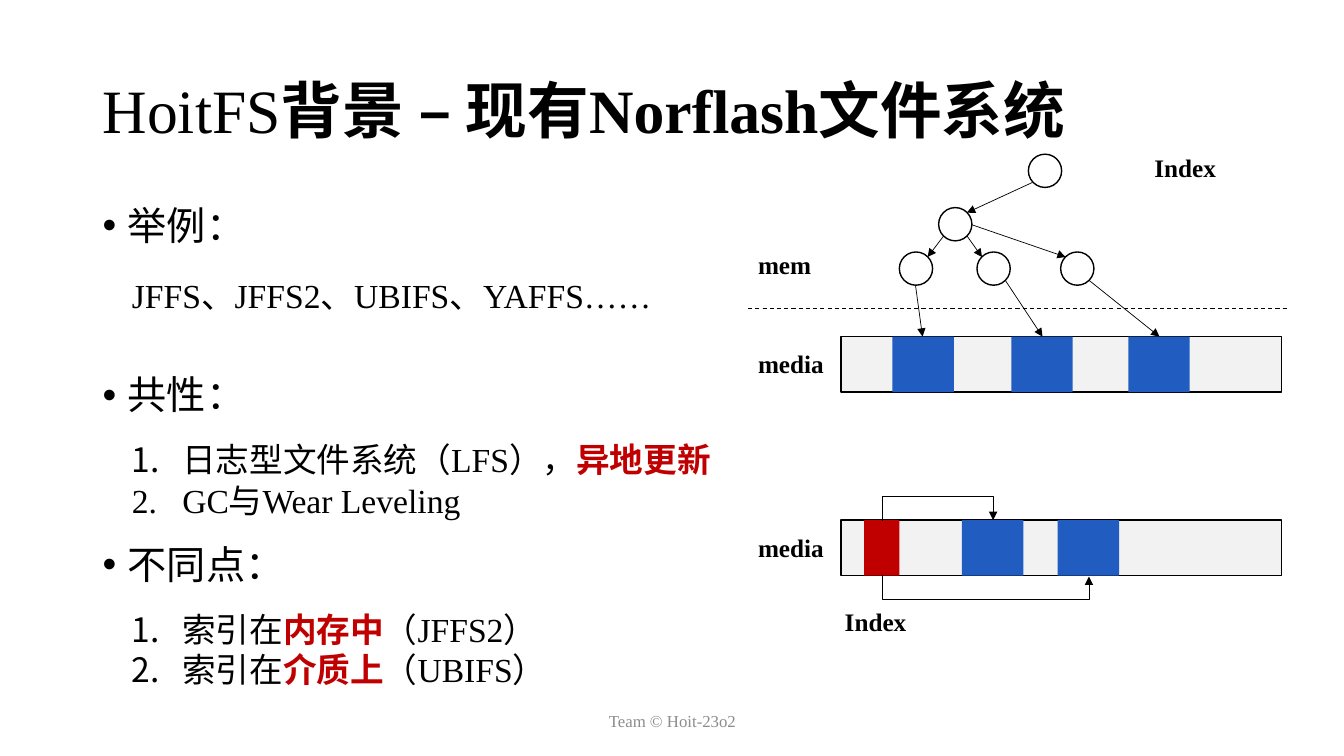
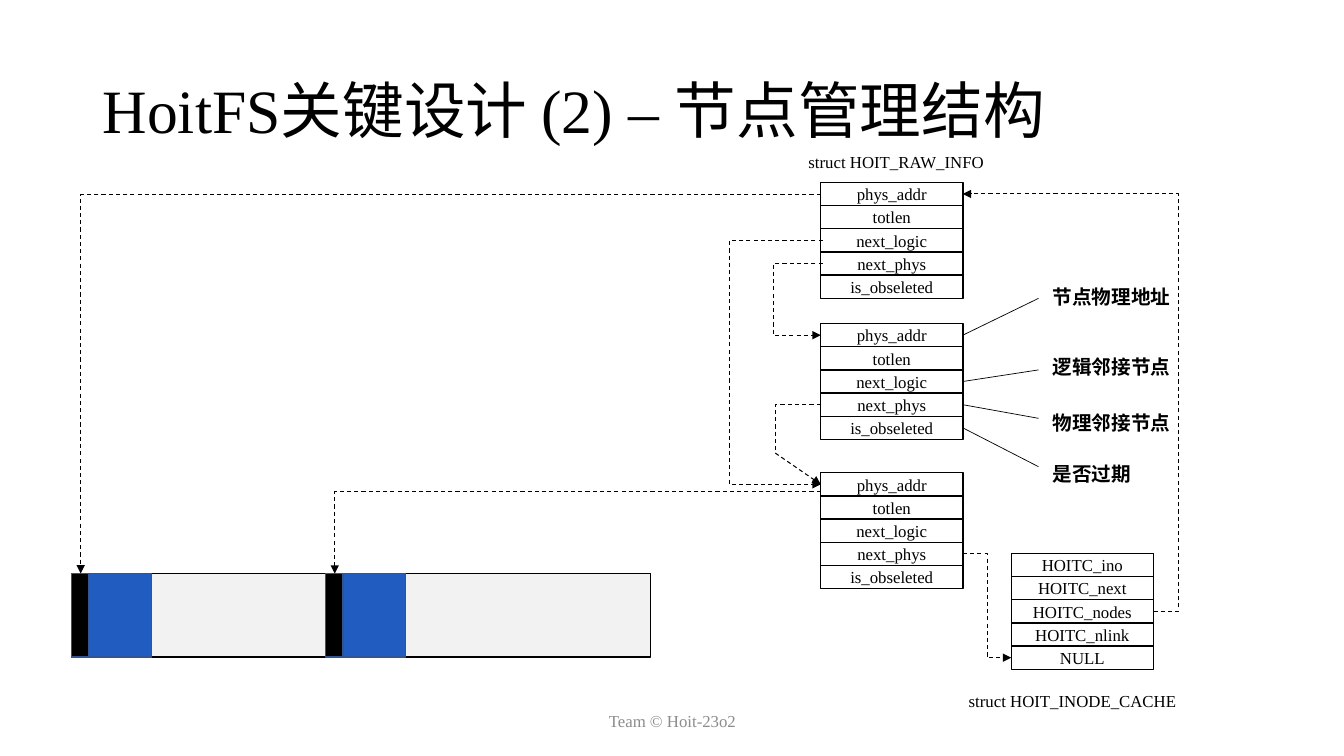
from lxml import etree
from pptx import Presentation
from pptx.dml.color import RGBColor
from pptx.enum.dml import MSO_LINE
from pptx.enum.lang import MSO_LANGUAGE_ID
from pptx.enum.shapes import MSO_CONNECTOR, MSO_SHAPE
from pptx.enum.text import MSO_ANCHOR, PP_ALIGN
from pptx.oxml.ns import qn
from pptx.util import Inches, Pt

FONT = "Times New Roman"
BLACK = RGBColor(0x00, 0x00, 0x00)
WHITE = RGBColor(0xFF, 0xFF, 0xFF)
GRAY = RGBColor(0x8C, 0x8C, 0x8C)
LIGHT_GRAY = RGBColor(0xF2, 0xF2, 0xF2)
BLUE = RGBColor(0x21, 0x5C, 0xC1)
DARK_BLUE = RGBColor(0x32, 0x54, 0x91)
RED = RGBColor(0xC0, 0x00, 0x00)

RECTANGLE, OVAL = MSO_SHAPE.RECTANGLE, MSO_SHAPE.OVAL
STRAIGHT, ELBOW = MSO_CONNECTOR.STRAIGHT, MSO_CONNECTOR.ELBOW
DASH = MSO_LINE.DASH
LEFT, CENTER = PP_ALIGN.LEFT, PP_ALIGN.CENTER
TOP, MIDDLE = MSO_ANCHOR.TOP, MSO_ANCHOR.MIDDLE
CHINESE = MSO_LANGUAGE_ID.SIMPLIFIED_CHINESE

RAW_INFO_FIELDS = ["phys_addr", "totlen", "next_logic", "next_phys", "is_obseleted"]
INODE_CACHE_FIELDS = ["HOITC_ino", "HOITC_next", "HOITC_nodes", "HOITC_nlink", "NULL"]
CELL_WIDTH, CELL_HEIGHT = 1.41, 0.23


def write_paragraph(paragraph, runs, size, color=BLACK, bold=False, align=LEFT):
    """Write runs; each is a string or a (text, font overrides) pair."""
    paragraph.alignment = align
    font = paragraph.font
    font.name, font.size, font.bold = FONT, Pt(size), bold
    font.color.rgb = color
    for item in [runs] if isinstance(runs, str) else runs:
        text, changes = (item, {}) if isinstance(item, str) else item
        run = paragraph.add_run()
        run.text = text
        run.font.language_id = CHINESE
        if "bold" in changes:
            run.font.bold = changes["bold"]
        if "color" in changes:
            run.font.color.rgb = changes["color"]


def add_text(slide, box, lines, size, anchor=TOP, **style):
    frame = slide.shapes.add_textbox(*map(Inches, box)).text_frame
    frame.word_wrap = True
    frame.vertical_anchor = anchor
    for index, runs in enumerate(lines):
        paragraph = frame.add_paragraph() if index else frame.paragraphs[0]
        write_paragraph(paragraph, runs, size, **style)
    return frame


def add_label(slide, left, top, text, size=18, bold=True, width=1.0):
    add_text(slide, (left, top, width, 0.4), [text], size, bold=bold)


def add_box(slide, box, fill, line=None, kind=RECTANGLE):
    shape = slide.shapes.add_shape(kind, *map(Inches, box))
    shape.shadow.inherit = False
    shape.fill.solid()
    shape.fill.fore_color.rgb = fill
    if line is None:
        shape.line.fill.background()
    else:
        shape.line.color.rgb = line
        shape.line.width = Pt(1)
    return shape


def set_bullet(paragraph, indent, tag, **attributes):
    properties = paragraph._p.get_or_add_pPr()
    properties.set("marL", str(Inches(indent)))
    properties.set("indent", str(-Inches(indent)))
    bullet = properties.makeelement(qn(tag), attributes)
    defaults = properties.find(qn("a:defRPr"))
    defaults.addprevious(bullet)
    if tag == "a:buChar":
        bullet.addprevious(properties.makeelement(qn("a:buFont"), {"typeface": "Arial"}))


def add_line(slide, start, end, width=0.5, dashed=False, arrow=True, kind=STRAIGHT):
    connector = slide.shapes.add_connector(kind, *map(Inches, (*start, *end)))
    line = connector.line
    line.color.rgb = BLACK
    line.width = Pt(width)
    if dashed:
        line.dash_style = DASH
    if arrow:
        etree.SubElement(line._get_or_add_ln(), qn("a:tailEnd"), type="triangle")
    etree.SubElement(connector._element.spPr, qn("a:effectLst"))
    return connector


def add_elbow(slide, start, end, bend=None, turn=0, **style):
    """Draw an elbow turned clockwise by turn degrees.

    bend is where the middle segment lies: y for quarter turns, otherwise x.
    Without it the connector has a single corner.
    """
    (x1, y1), (x2, y2) = start, end
    dx, dy = x2 - x1, y2 - y1
    across, down = {0: (dx, dy), 90: (dy, -dx), 180: (-dx, -dy), 270: (-dy, dx)}[turn]
    middle_x, middle_y = (x1 + x2) / 2, (y1 + y2) / 2
    connector = add_line(
        slide,
        (middle_x - across / 2, middle_y - down / 2),
        (middle_x + across / 2, middle_y + down / 2),
        kind=ELBOW, **style)
    properties = connector._element.spPr
    if turn:
        properties.find(qn("a:xfrm")).set("rot", str(turn * 60000))
    geometry = properties.find(qn("a:prstGeom"))
    if bend is None:
        geometry.set("prst", "bentConnector2")
    else:
        share = (bend - y1) / dy if turn in (90, 270) else (bend - x1) / dx
        guides = geometry.find(qn("a:avLst"))
        etree.SubElement(guides, qn("a:gd"), name="adj1", fmla=f"val {round(share * 100000)}")


def add_slide(presentation, title):
    slide = presentation.slides.add_slide(presentation.slide_layouts[6])
    frame = add_text(slide, (0.92, 0.4, 11.5, 1.45), [title], 44, anchor=MIDDLE)
    frame.paragraphs[0].line_spacing = 0.9
    add_text(slide, (4.42, 6.95, 4.5, 0.4), ["Team © Hoit-23o2"], 12,
             anchor=MIDDLE, color=GRAY, align=CENTER)
    return slide


def add_section(slide, top, heading, details, gap=0.63, numbered=True):
    frame = add_text(slide, (0.92, top, 6, 0.68), [heading], 28)
    paragraph = frame.paragraphs[0]
    paragraph.line_spacing = 0.9
    paragraph.space_before = Pt(10)
    set_bullet(paragraph, 0.25, "a:buChar", char="•")
    frame = add_text(slide, (1.21, top + gap, 6.66, 0.45 * len(details)), details, 24)
    if numbered:
        for paragraph in frame.paragraphs:
            set_bullet(paragraph, 0.5, "a:buAutoNum", type="arabicPeriod")


def add_media(slide, left, top, blocks):
    """Draw a storage strip with (offset, width, colour) blocks."""
    add_box(slide, (left, top, 4.37, 0.55), LIGHT_GRAY, BLACK)
    for offset, width, color in blocks:
        add_box(slide, (left + offset, top, width, 0.55), color)
    add_label(slide, left - 0.92, top + 0.07, "media")


def add_memory_index(slide, left, top):
    """Draw the index tree in memory above its storage strip."""
    add_media(slide, left + 0.92, top + 1.88,
              [(offset, 0.61, BLUE) for offset in (0.51, 1.69, 2.85)])
    for x, y in [(2.78, 0.07), (1.89, 0.6), (1.5, 1.04), (2.27, 1.04), (3.1, 1.04)]:
        add_box(slide, (left + x, top + y, 0.33, 0.33), WHITE, BLACK, OVAL)
    arrows = [
        (2.82, 0.35, 2.17, 0.65), (1.94, 0.88, 1.78, 1.09),
        (2.17, 0.88, 2.32, 1.09), (2.22, 0.77, 3.15, 1.09),
        (1.66, 1.37, 1.73, 1.88), (2.55, 1.32, 2.92, 1.88), (3.38, 1.32, 4.08, 1.88),
    ]
    for x1, y1, x2, y2 in arrows:
        add_line(slide, (left + x1, top + y1), (left + x2, top + y2))
    add_line(slide, (left, top + 1.6), (left + 5.36, top + 1.6),
             width=0.75, dashed=True, arrow=False)
    add_label(slide, left + 3.93, top, "Index")
    add_label(slide, left, top + 0.96, "mem")


def add_media_index(slide, left, top):
    """Draw a strip whose red index block points at the data blocks."""
    add_media(slide, left, top, [(1.2, 0.61, BLUE), (2.15, 0.61, BLUE), (0.23, 0.35, RED)])
    index = left + 0.41
    add_elbow(slide, (index, top + 0.01), (left + 1.51, top), bend=top - 0.24, turn=90)
    add_elbow(slide, (index, top + 0.54), (left + 2.46, top + 0.56),
              bend=top + 0.79, turn=270)
    add_label(slide, left - 0.06, top + 0.81, "Index")


def add_struct(slide, left, top, fields):
    for row, field in enumerate(fields):
        box = (left, top + row * CELL_HEIGHT, CELL_WIDTH, CELL_HEIGHT)
        frame = add_box(slide, box, WHITE, BLACK).text_frame
        frame.margin_top = frame.margin_bottom = 0
        frame.vertical_anchor = MIDDLE
        write_paragraph(frame.paragraphs[0], field, 12, align=CENTER)


def add_node_structs(slide, left, top):
    """Draw the three raw-info structs, the inode cache and their links."""
    right = left + CELL_WIDTH
    second, third = top + 1.4, top + 2.88
    cache_left, cache_top = left + 1.89, top + 3.68

    def row_middle(struct_top, row):
        return struct_top + (row + 0.5) * CELL_HEIGHT

    for struct_top in (top, second, third):
        add_struct(slide, left, struct_top, RAW_INFO_FIELDS)
    add_struct(slide, cache_left, cache_top, INODE_CACHE_FIELDS)
    add_label(slide, left - 0.22, top - 0.35, "struct HOIT_RAW_INFO", 12, False, 2.11)
    add_label(slide, left + 1.37, top + 4.99, "struct HOIT_INODE_CACHE", 12, False, 2.44)

    dashed = {"width": 0.75, "dashed": True}
    third_entry = (left, row_middle(third, 0))
    corner = (left - 0.45, row_middle(second, 3) + 0.48)
    add_elbow(slide, (left + 0.02, row_middle(top, 2)), third_entry,
              bend=left - 0.9, turn=180, **dashed)
    add_elbow(slide, (left + 0.02, row_middle(top, 3)), (left, row_middle(second, 0)),
              bend=left - 0.47, turn=180, **dashed)
    add_elbow(slide, (left, row_middle(second, 3)), corner, turn=180, arrow=False, **dashed)
    add_line(slide, corner, third_entry, **dashed)
    add_elbow(slide, (right, row_middle(third, 3)), (cache_left, row_middle(cache_top, 4)),
              bend=right + 0.24, **dashed)
    cache_right = cache_left + CELL_WIDTH
    add_elbow(slide, (cache_right, row_middle(cache_top, 2)), (right, row_middle(top, 0)),
              bend=cache_right + 0.25, **dashed)

    notes = [
        (0, "节点物理地址", 0.97, 1.15), (2, "逻辑邻接节点", 1.66, 1.86),
        (3, "物理邻接节点", 2.22, 2.34), (4, "是否过期", 2.72, 2.82),
    ]
    for row, text, text_top, line_end in notes:
        add_label(slide, left + 2.2, top + text_top, text, 14, width=1.61)
        add_line(slide, (right, row_middle(second, row)), (right + 0.75, top + line_end),
                 arrow=False)


def add_flash(slide, left, top, pointers):
    """Draw the flash strip; pointers are (offset, source point) pairs."""
    add_box(slide, (left, top, 5.74, 0.83), LIGHT_GRAY, BLACK)
    for offset, source in pointers:
        start = left + offset
        add_box(slide, (start + 0.17, top, 0.62, 0.83), BLUE, DARK_BLUE)
        add_box(slide, (start, top, 0.17, 0.83), BLACK, DARK_BLUE)
        add_elbow(slide, source, (start + 0.09, top), turn=180, width=0.75, dashed=True)


def build_background(presentation):
    slide = add_slide(presentation, ["HoitFS", ("背景 – 现有Norflash文件系统", {"bold": True})])
    strong = {"color": RED, "bold": True}
    add_section(slide, 2, "举例：", ["JFFS、JFFS2、UBIFS、YAFFS……"], gap=0.68, numbered=False)
    add_section(slide, 3.68, "共性：",
                [["日志型文件系统（LFS），", ("异地更新", strong)], "GC与Wear Leveling"])
    add_section(slide, 5.36, "不同点：",
                [["索引在", ("内存中", strong), "（JFFS2）"],
                 ["索引在", ("介质上", strong), "（UBIFS）"]])
    add_memory_index(slide, 7.42, 1.46)
    add_media_index(slide, 8.34, 5.16)


def build_node_management(presentation):
    slide = add_slide(presentation, "HoitFS关键设计 (2) – 节点管理结构")
    add_node_structs(slide, 8.14, 1.81)
    add_flash(slide, 0.71, 5.69, [(0, (8.14, 1.93)), (2.52, (8.14, 4.88))])


def main():
    presentation = Presentation()
    presentation.slide_width, presentation.slide_height = Inches(13.33), Inches(7.5)
    build_background(presentation)
    build_node_management(presentation)
    presentation.save("out.pptx")


if __name__ == "__main__":
    main()
